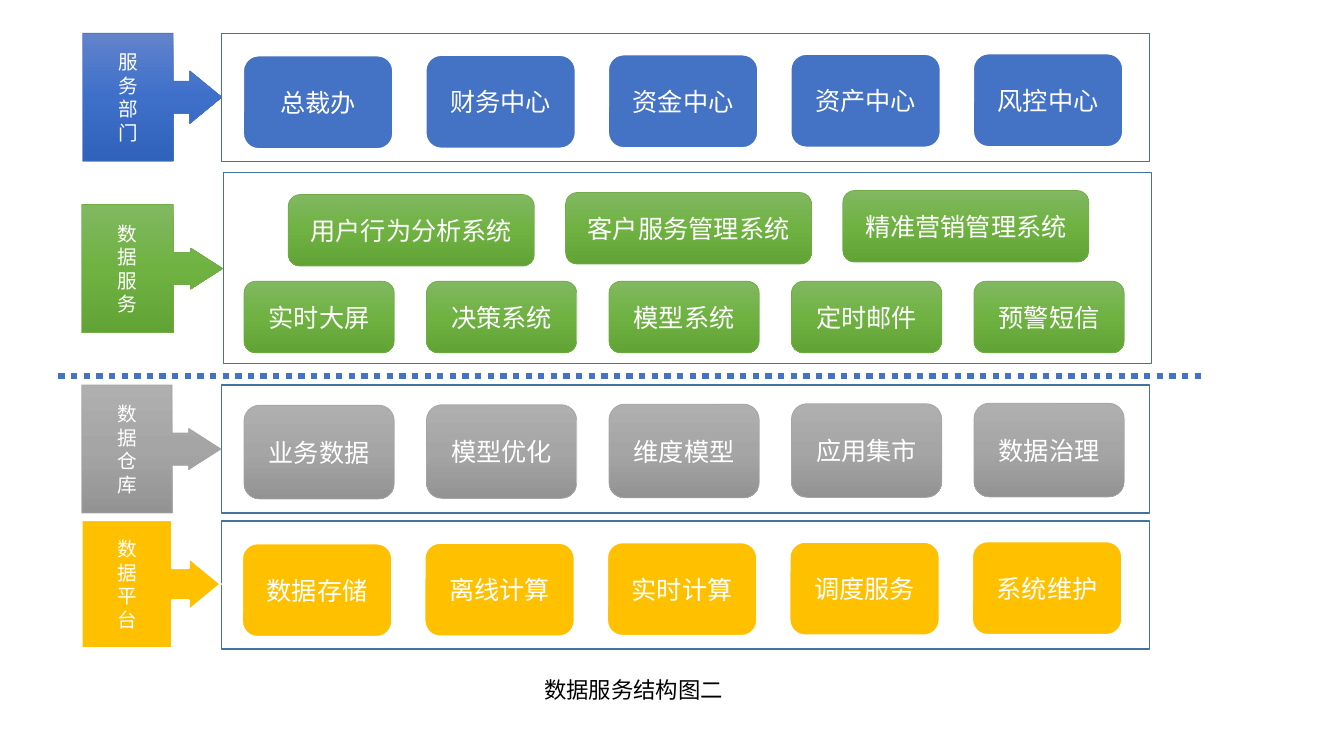
from copy import deepcopy
from dataclasses import dataclass

from lxml import etree
from pptx import Presentation
from pptx.dml.color import RGBColor
from pptx.enum import dml, shapes, text
from pptx.oxml import ns
from pptx.util import Inches, Pt

FONT = "Noto Sans CJK SC"
WHITE = "FFFFFF"
FRAME_LINE = "43739E"
DIVIDER_BLUE = "4472C4"
SHAPE = shapes.MSO_SHAPE


@dataclass(frozen=True)
class Style:
    """Fill colours from top to bottom (one means solid) and the outline."""
    colours: tuple[str, ...]
    line: str
    line_width: float


@dataclass(frozen=True)
class TileRow:
    """A row of equal tiles, each one placed a little higher than the last."""
    left: float
    top: float
    height: float
    labels: tuple[str, ...]
    width: float = 1.49
    pitch: float = 1.81
    lift: float = 0.0


@dataclass(frozen=True)
class Band:
    label: str
    label_box: tuple[float, float, float, float]
    arrow_half_width: float
    label_style: Style
    frame_box: tuple[float, float, float, float]
    tile_style: Style
    rows: tuple[TileRow, ...]


BLUE = Style(("4472C4",), WHITE, 1.5)
BLUE_SHADED = Style(("6183CB", "3E70CA", "3062BB"), "4472C4", 0.5)
GREEN = Style(("81B861", "6FB242", "62A336"), "70AD47", 0.5)
GREY = Style(("AFAFAF", "A5A5A5", "939393"), "A5A5A5", 0.5)
GOLD = Style(("FFC000",), WHITE, 1.5)

BANDS = (
    Band("数据平台", (0.81, 5.16, 1.38, 1.27), 0.205, GOLD,
         (2.2, 5.17, 9.2, 1.27), GOLD,
         (TileRow(2.4, 5.39, 0.93, lift=0.005,
                  labels=("数据存储", "离线计算", "实时计算", "调度服务", "系统维护")),)),
    Band("数据仓库", (0.81, 3.82, 1.38, 1.27), 0.16, GREY,
         (2.2, 3.82, 9.2, 1.27), GREY,
         (TileRow(2.42, 4.02, 0.93, lift=0.005,
                  labels=("业务数据", "模型优化", "维度模型", "应用集市", "数据治理")),)),
    Band("数据服务", (0.81, 2.03, 1.4, 1.27), 0.16, GREEN,
         (2.22, 1.71, 9.2, 1.9), GREEN,
         (TileRow(2.42, 2.79, 0.71,
                  labels=("实时大屏", "决策系统", "模型系统", "定时邮件", "预警短信")),
          TileRow(2.86, 1.93, 0.71, width=2.44, pitch=2.75, lift=0.02,
                  labels=("用户行为分析系统", "客户服务管理系统", "精准营销管理系统")))),
    Band("服务部门", (0.82, 0.33, 1.38, 1.27), 0.205, BLUE_SHADED,
         (2.2, 0.33, 9.2, 1.27), BLUE,
         (TileRow(2.41, 0.55, 0.93, lift=0.005,
                  labels=("总裁办", "财务中心", "资金中心", "资产中心", "风控中心")),)),
)


def rgb(colour: str) -> RGBColor:
    return RGBColor.from_string(colour)


def write(frame, lines, *, size: float, colour: str = WHITE, align=None,
          anchor=None, wrap: bool = True) -> None:
    frame.word_wrap = wrap
    if anchor is not None:
        frame.vertical_anchor = anchor
    for index, line in enumerate(lines):
        paragraph = frame.paragraphs[0] if index == 0 else frame.add_paragraph()
        paragraph.alignment = align
        run = paragraph.add_run()
        run.text = line
        run.font.size = Pt(size)
        run.font.name = FONT
        run.font.color.rgb = rgb(colour)
        east_asian = etree.SubElement(run.font._element, ns.qn("a:ea"))
        east_asian.set("typeface", FONT)


def paint(shape, style: Style) -> None:
    shape.line.color.rgb = rgb(style.line)
    shape.line.width = Pt(style.line_width)
    if len(style.colours) == 1:
        shape.fill.solid()
        shape.fill.fore_color.rgb = rgb(style.colours[0])
        return
    shape.fill.gradient()
    shape.fill.gradient_angle = 270
    stop_list = shape._element.spPr.find(".//" + ns.qn("a:gsLst"))
    stop_list.append(deepcopy(stop_list[-1]))
    for index, stop in enumerate(shape.fill.gradient_stops):
        stop.position = index / (len(style.colours) - 1)
        stop.color.rgb = rgb(style.colours[index])


def add_box(slide, kind, box: tuple[float, float, float, float]):
    shape = slide.shapes.add_shape(kind, *map(Inches, box))
    shape.shadow.inherit = False
    return shape


def add_block(slide, kind, box, style: Style, lines, size: float):
    """Add a coloured shape with centred white text."""
    block = add_box(slide, kind, box)
    paint(block, style)
    write(block.text_frame, lines, size=size, align=text.PP_ALIGN.CENTER,
          anchor=text.MSO_ANCHOR.MIDDLE)
    return block


def add_tiles(slide, row: TileRow, style: Style) -> None:
    for index, label in enumerate(row.labels):
        box = (row.left + index * row.pitch, row.top - index * row.lift,
               row.width, row.height)
        add_block(slide, SHAPE.ROUNDED_RECTANGLE, box, style, [label], 18)


def add_band(slide, band: Band) -> None:
    frame = add_box(slide, SHAPE.RECTANGLE, band.frame_box)
    frame.fill.background()
    frame.line.color.rgb = rgb(FRAME_LINE)
    frame.line.width = Pt(1)

    callout = add_block(slide, SHAPE.RIGHT_ARROW_CALLOUT, band.label_box,
                        band.label_style, band.label, 14)
    for index, value in enumerate((0.25, band.arrow_half_width, 0.25, 0.65)):
        callout.adjustments[index] = value

    for row in band.rows:
        add_tiles(slide, row, band.tile_style)


def add_divider(slide) -> None:
    divider = slide.shapes.add_connector(
        shapes.MSO_CONNECTOR.STRAIGHT,
        Inches(0.58), Inches(3.73), Inches(11.95), Inches(3.73))
    divider.line.color.rgb = rgb(DIVIDER_BLUE)
    divider.line.width = Pt(4.5)
    # ROUND_DOT is python-pptx's name for the sysDot dash
    divider.line.dash_style = dml.MSO_LINE.ROUND_DOT
    etree.SubElement(divider._element.spPr, ns.qn("a:effectLst"))


def add_caption(slide) -> None:
    caption = slide.shapes.add_textbox(
        Inches(5.3), Inches(6.66), Inches(2.65), Inches(0.37))
    write(caption.text_frame, ["数据服务结构图二"], size=16, colour="000000")
    caption.text_frame.auto_size = text.MSO_AUTO_SIZE.SHAPE_TO_FIT_TEXT


def main() -> None:
    deck = Presentation()
    deck.slide_width, deck.slide_height = Inches(13.33), Inches(7.5)
    slide = deck.slides.add_slide(deck.slide_layouts[6])
    for band in BANDS:
        add_band(slide, band)
    add_divider(slide)
    add_caption(slide)
    deck.save("out.pptx")


if __name__ == "__main__":
    main()
